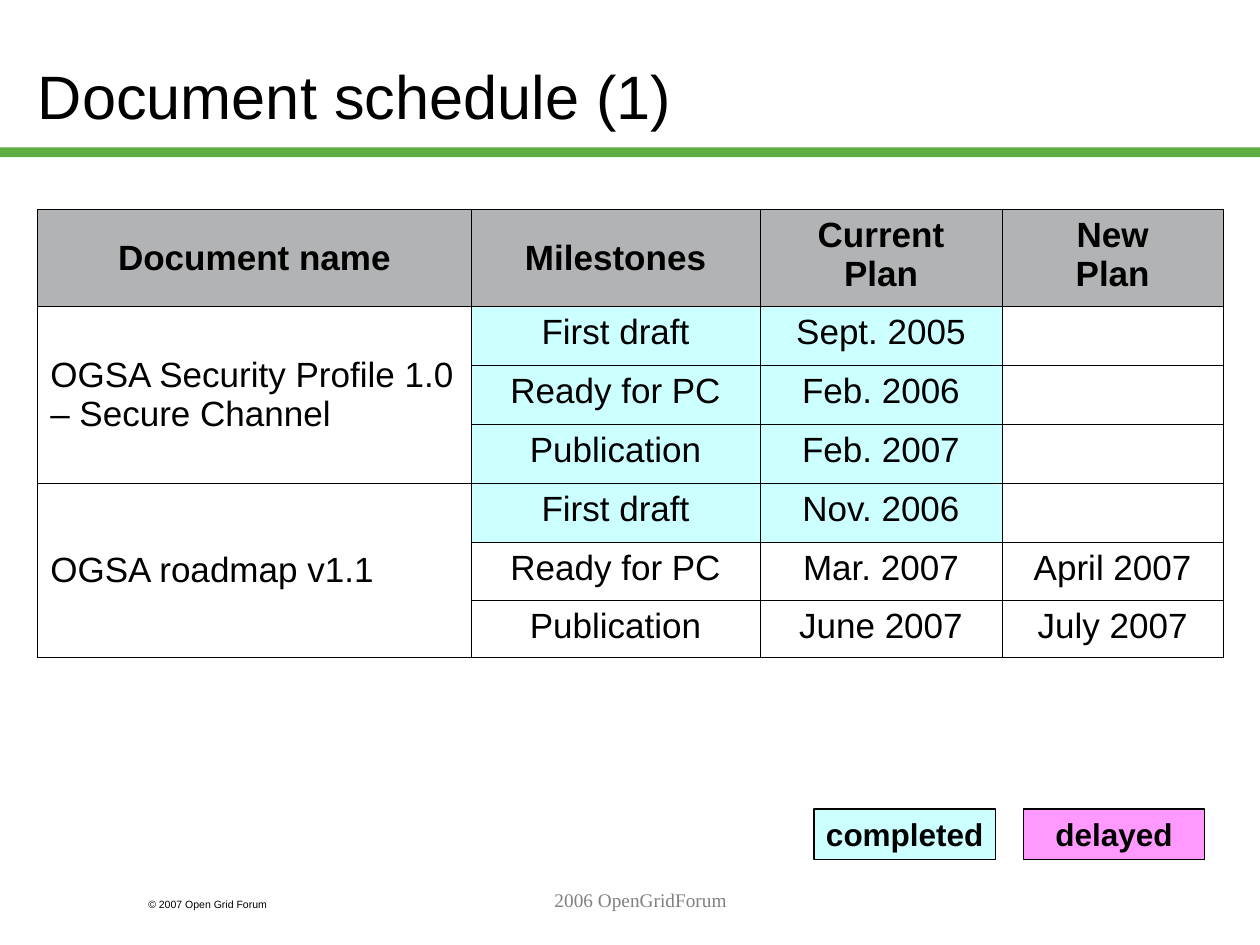
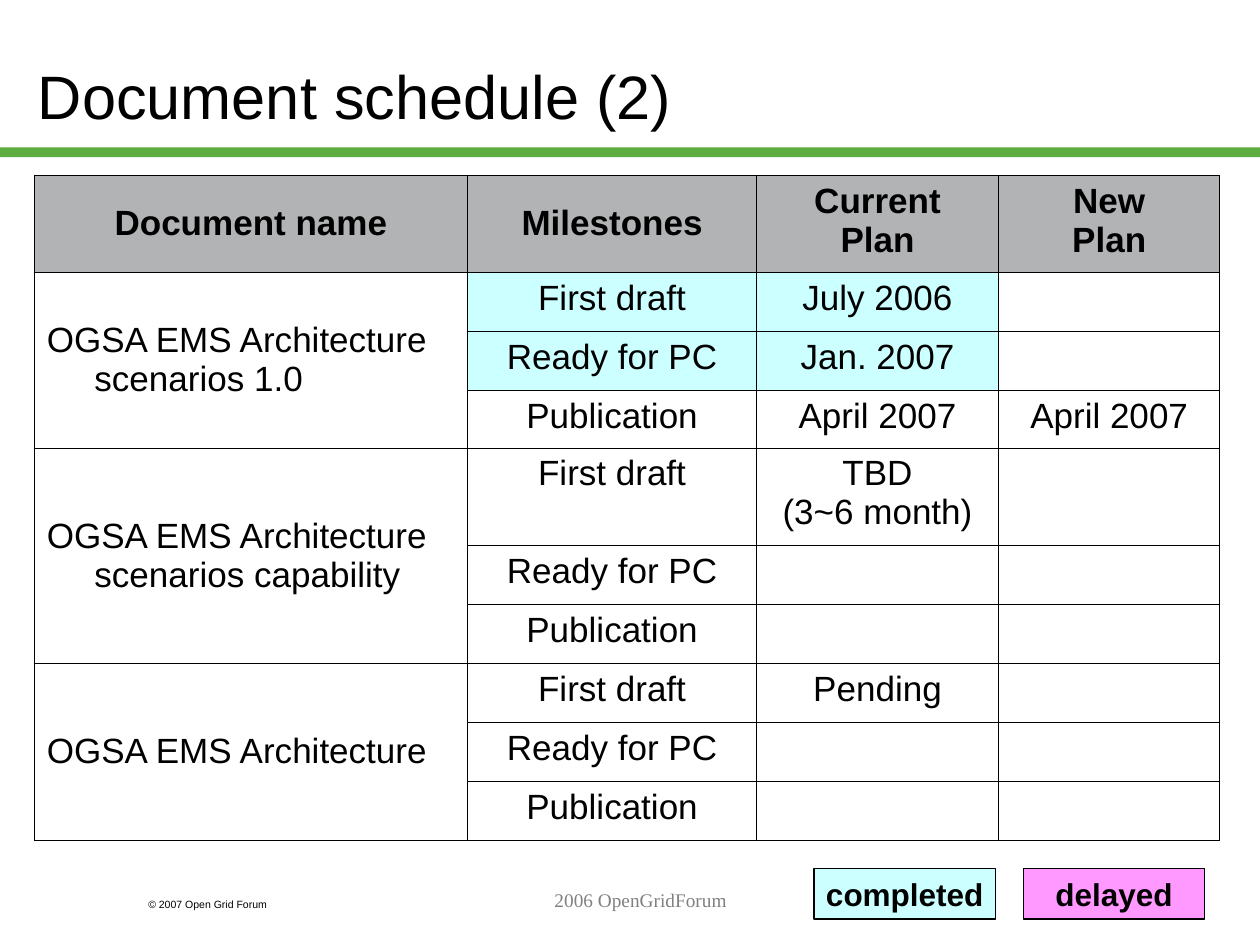
from lxml import etree
from pptx import Presentation
from pptx.dml.color import RGBColor
from pptx.enum.shapes import MSO_SHAPE as Shape
from pptx.enum.text import MSO_ANCHOR as Anchor, MSO_AUTO_SIZE as Fit, PP_ALIGN as Align
from pptx.oxml.ns import qn
from pptx.util import Cm, Pt

BLACK = RGBColor(0, 0, 0)
GREEN = RGBColor(0x5D, 0xAD, 0x41)
GREY = RGBColor(0xB2, 0xB3, 0xB5)
DIM = RGBColor(0x80, 0x80, 0x80)
CYAN = RGBColor(0xCC, 0xFF, 0xFF)
PINK = RGBColor(0xFF, 0x99, 0xFF)

HEADS = ["Document name", "Milestones", "Current\nPlan", "New\nPlan"]
STEPS = ["First draft", "Ready for PC", "Publication"]
COLS = [8.74, 5.82, 4.88, 4.46]
TALL, ROW, SLIM = 1.96, 1.19, 1.16
HANG = Cm(0.96)

# Each document: name, number of completed steps, (current plan, new plan) per step
FIRST = [
    ("OGSA Security Profile 1.0\n– Secure Channel", 3,
     [("Sept. 2005", ""), ("Feb. 2006", ""), ("Feb. 2007", "")]),
    ("OGSA roadmap v1.1", 1,
     [("Nov. 2006", ""), ("Mar. 2007", "April 2007"), ("June 2007", "July 2007")]),
]
SECOND = [
    ("OGSA EMS Architecture scenarios 1.0", 2,
     [("July 2006", ""), ("Jan. 2007", ""), ("April 2007", "April 2007")]),
    ("OGSA EMS Architecture scenarios capability", 0,
     [("TBD\n(3~6 month)", ""), ("", ""), ("", "")]),
    ("OGSA EMS Architecture", 0, [("Pending", ""), ("", ""), ("", "")]),
]


def write(frame, text, size, align=Align.LEFT, bold=False, color=BLACK, face="Arial"):
    frame.text = text
    for para in frame.paragraphs:
        para.alignment = align
        for run in para.runs:
            font = run.font
            font.name, font.size, font.bold = face, Pt(size), bold
            font.color.rgb = color


def add_text(slide, box, text, size, **style):
    frame = slide.shapes.add_textbox(*map(Cm, box)).text_frame
    frame.word_wrap = True
    write(frame, text, size, **style)


def add_rect(slide, box, fill):
    rect = slide.shapes.add_shape(Shape.RECTANGLE, *map(Cm, box))
    rect.shadow.inherit = False
    rect.fill.solid()
    rect.fill.fore_color.rgb = fill
    rect.line.fill.background()
    return rect


def add_base(deck, text):
    """Add a slide with its title, green band and footers."""
    slide = deck.slides.add_slide(deck.slide_layouts[5])
    add_rect(slide, (0, 2.97, 25.4, 0.2), GREEN)
    title = slide.shapes.title
    title.left, title.top, title.width, title.height = map(Cm, (0.51, 0.33, 21.59, 3.18))
    frame = title.text_frame
    frame.auto_size, frame.vertical_anchor = Fit.NONE, Anchor.MIDDLE
    write(frame, text, 35)
    add_text(slide, (2.74, 17.98, 3.81, 0.51), "© 2007 Open Grid Forum", 6)
    add_text(slide, (5.51, 17.78, 14.81, 1.27), "2006 OpenGridForum", 11,
             align=Align.CENTER, color=DIM, face="Times New Roman")
    return slide


def add_edges(cell):
    props = cell._tc.get_or_add_tcPr()
    for spot, side in enumerate(("a:lnL", "a:lnR", "a:lnT", "a:lnB")):
        line = etree.Element(qn(side), w=str(Pt(0.45)))
        fill = etree.SubElement(line, qn("a:solidFill"))
        etree.SubElement(fill, qn("a:srgbClr"), val=str(BLACK))
        props.insert(spot, line)


def fill_cell(cell, text, fill=None, align=Align.CENTER, bold=False, mid=False):
    if fill is None:
        cell.fill.background()
    else:
        cell.fill.solid()
        cell.fill.fore_color.rgb = fill
    add_edges(cell)
    cell.vertical_anchor = Anchor.MIDDLE if mid else Anchor.TOP
    write(cell.text_frame, text, 20, align, bold)
    for para in cell.text_frame.paragraphs:
        props = para._p.get_or_add_pPr()
        props.set("marL", str(HANG))
        props.set("indent", str(-HANG))


def add_plan(slide, left, top, docs):
    """Draw the schedule table with its top left corner at left, top."""
    highs = [TALL]
    for _, _, plans in docs:
        for now, new in plans:
            highs.append(TALL if "\n" in now else SLIM if new else ROW)
    table = slide.shapes.add_table(len(highs), len(COLS), Cm(left), Cm(top),
                                   Cm(sum(COLS)), Cm(sum(highs))).table
    table.first_row = table.horz_banding = False
    for col, wide in zip(table.columns, COLS):
        col.width = Cm(wide)
    for row, high in zip(table.rows, highs):
        row.height = Cm(high)
    for c, head in enumerate(HEADS):
        fill_cell(table.cell(0, c), head, GREY, bold=True, mid="\n" not in head)
    for d, (name, done, plans) in enumerate(docs):
        base = 1 + d * len(STEPS)
        for s, (step, (now, new)) in enumerate(zip(STEPS, plans)):
            fill = CYAN if s < done else None
            fill_cell(table.cell(base + s, 0), "" if s else name,
                      align=Align.LEFT, mid=True)
            fill_cell(table.cell(base + s, 1), step, fill)
            fill_cell(table.cell(base + s, 2), now, fill)
            fill_cell(table.cell(base + s, 3), new)
        table.cell(base, 0).merge(table.cell(base + len(STEPS) - 1, 0))


def add_key(slide, left, top):
    """Draw the colour key with its top left corner at left, top."""
    for i, (text, fill) in enumerate((("completed", CYAN), ("delayed", PINK))):
        rect = add_rect(slide, (left + i * 4.22, top, 3.66, 1.02), fill)
        rect.line.color.rgb = BLACK
        rect.line.width = Pt(0.75)
        frame = rect.text_frame
        frame.word_wrap, frame.vertical_anchor = False, Anchor.MIDDLE
        write(frame, text, 18, Align.CENTER, bold=True)


def main():
    deck = Presentation()
    deck.slide_width, deck.slide_height = Cm(25.4), Cm(19.05)
    pages = ((FIRST, 0.76, 4.22, 16.31), (SECOND, 0.69, 3.53, 17.51))
    for num, (docs, left, top, key) in enumerate(pages, 1):
        slide = add_base(deck, f"Document schedule ({num})")
        add_plan(slide, left, top, docs)
        add_key(slide, 16.41, key)
    deck.save("out.pptx")


if __name__ == "__main__":
    main()
